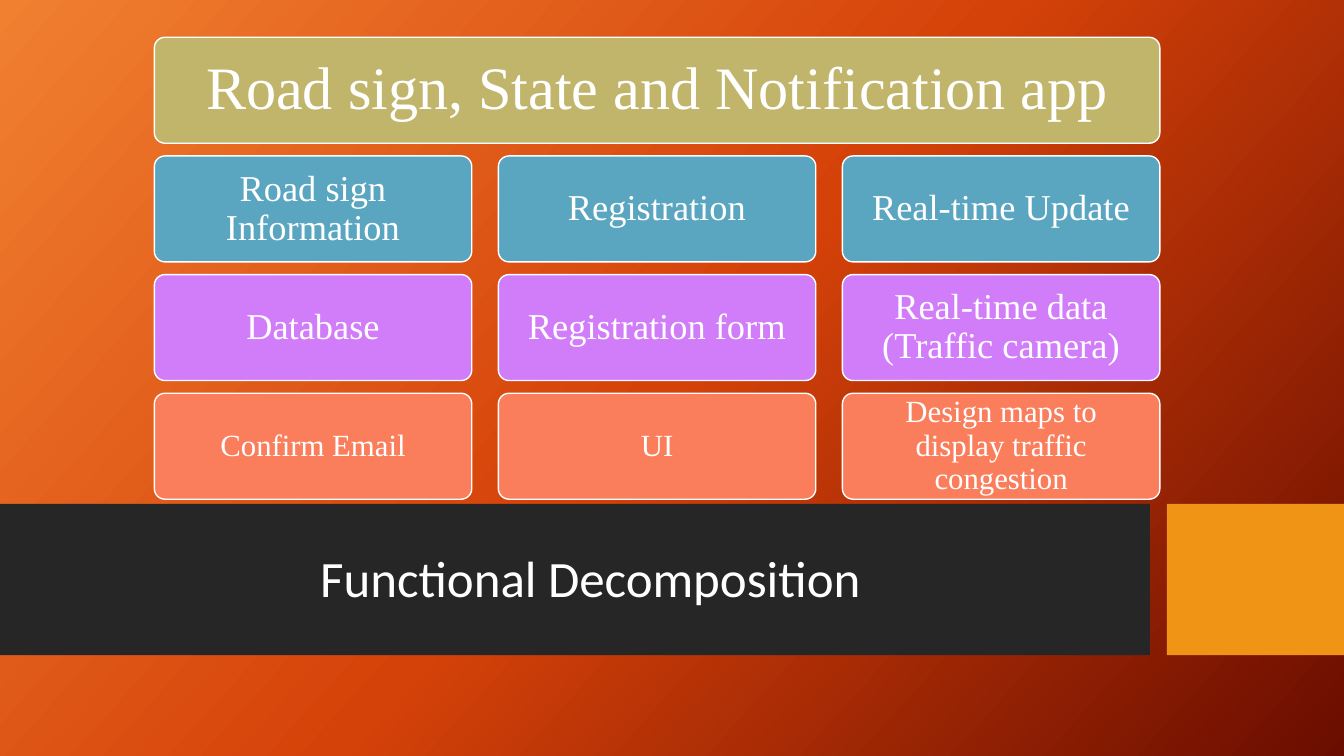
from copy import deepcopy

from pptx import Presentation
from pptx.dml.color import RGBColor
from pptx.enum import shapes, text
from pptx.oxml.ns import qn
from pptx.util import Cm, Pt

WHITE = RGBColor(0xFF, 0xFF, 0xFF)
CHARCOAL = RGBColor(0x26, 0x26, 0x26)
AMBER = RGBColor(0xF0, 0x94, 0x15)
OLIVE = RGBColor(0xC1, 0xB5, 0x6B)
BLUE = RGBColor(0x5A, 0xA6, 0xC0)
VIOLET = RGBColor(0xD1, 0x7D, 0xF9)
CORAL = RGBColor(0xFA, 0x7E, 0x5C)
BACKGROUND_STOPS = [
    (0, RGBColor(0xF1, 0x80, 0x31)),
    (0.5, RGBColor(0xD5, 0x42, 0x09)),
    (1, RGBColor(0x6A, 0x0D, 0x00)),
]

# Grid of cards, in centimetres
LEFT, TOP = 3.89, 0.94
CARD_WIDTH, CARD_HEIGHT = 8, 2.67
COLUMN_STEP, ROW_STEP = 8.67, 2.99

# Fill, text size, inset and labels of each row
ROWS = [
    (OLIVE, 43, 0.53, ["Road sign, State and Notification app"]),
    (BLUE, 26, 0.36, ["Road sign Information", "Registration", "Real-time Update"]),
    (VIOLET, 26, 0.36, ["Database", "Registration form", "Real-time data (Traffic camera)"]),
    (CORAL, 22, 0.3, ["Confirm Email", "UI", "Design maps to display traffic congestion"]),
]


def set_attributes(target, values):
    for name, value in values.items():
        setattr(target, name, value)


def paint_background(page):
    fill = page.background.fill
    fill.gradient()
    fill.gradient_angle = 360 - 42
    stop_list = page.element.find(".//" + qn("a:gsLst"))
    stop_list.append(deepcopy(stop_list[0]))
    for stop, (position, color) in zip(fill.gradient_stops, BACKGROUND_STOPS):
        stop.position = position
        stop.color.rgb = color


def add_block(page, kind, left, top, width, height, color):
    box = page.shapes.add_shape(kind, Cm(left), Cm(top), Cm(width), Cm(height))
    box.shadow.inherit = False
    box.fill.solid()
    box.fill.fore_color.rgb = color
    box.line.fill.background()
    return box


def write_text(box, words, font, size, align, spacing, insets):
    frame = box.text_frame
    left, top, right, bottom = map(Cm, insets)
    set_attributes(frame, {
        "word_wrap": True,
        "auto_size": text.MSO_AUTO_SIZE.NONE,
        "vertical_anchor": text.MSO_ANCHOR.MIDDLE,
        "margin_left": left, "margin_top": top,
        "margin_right": right, "margin_bottom": bottom,
    })
    para = frame.paragraphs[0]
    set_attributes(para, {"alignment": align, "line_spacing": spacing})
    span = para.add_run()
    span.text = words
    set_attributes(span.font, {"name": font, "size": Pt(size)})
    span.font.color.rgb = WHITE


def add_card(page, left, top, width, color, words, size, inset):
    box = add_block(page, shapes.MSO_SHAPE.ROUNDED_RECTANGLE,
                    left, top, width, CARD_HEIGHT, color)
    box.adjustments[0] = 0.1
    box.line.color.rgb = WHITE
    box.line.width = Pt(1)
    write_text(box, words, "Times New Roman", size,
               text.PP_ALIGN.CENTER, 0.9, [inset] * 4)


def add_title(page, words):
    title = page.shapes.title
    set_attributes(title, {"left": Cm(7.82), "top": Cm(13.54),
                           "width": Cm(15.49), "height": Cm(2.44)})
    write_text(title, words, "Calibri", 36.4, text.PP_ALIGN.LEFT, 1,
               [0.25, 0.13, 0.25, 0.58])


def main():
    deck = Presentation()
    set_attributes(deck, {"slide_width": Cm(33.87), "slide_height": Cm(19.05)})
    page = deck.slides.add_slide(deck.slide_layouts[5])
    paint_background(page)

    # Title band and its accent block
    for left, width, color in [(0, 28.98, CHARCOAL), (29.41, 4.46, AMBER)]:
        add_block(page, shapes.MSO_SHAPE.RECTANGLE, left, 12.7, width, 3.81, color)
    add_title(page, "Functional Decomposition")
    # Bring the title in front of its band
    tree = page.shapes.element
    tree.append(page.shapes.title.element)

    # Cards: a lone card spans all three columns
    for row, (color, size, inset, labels) in enumerate(ROWS):
        width = CARD_WIDTH if len(labels) > 1 else 2 * COLUMN_STEP + CARD_WIDTH
        for column, words in enumerate(labels):
            add_card(page, LEFT + column * COLUMN_STEP, TOP + row * ROW_STEP,
                     width, color, words, size, inset)

    deck.save("out.pptx")


if __name__ == "__main__":
    main()
